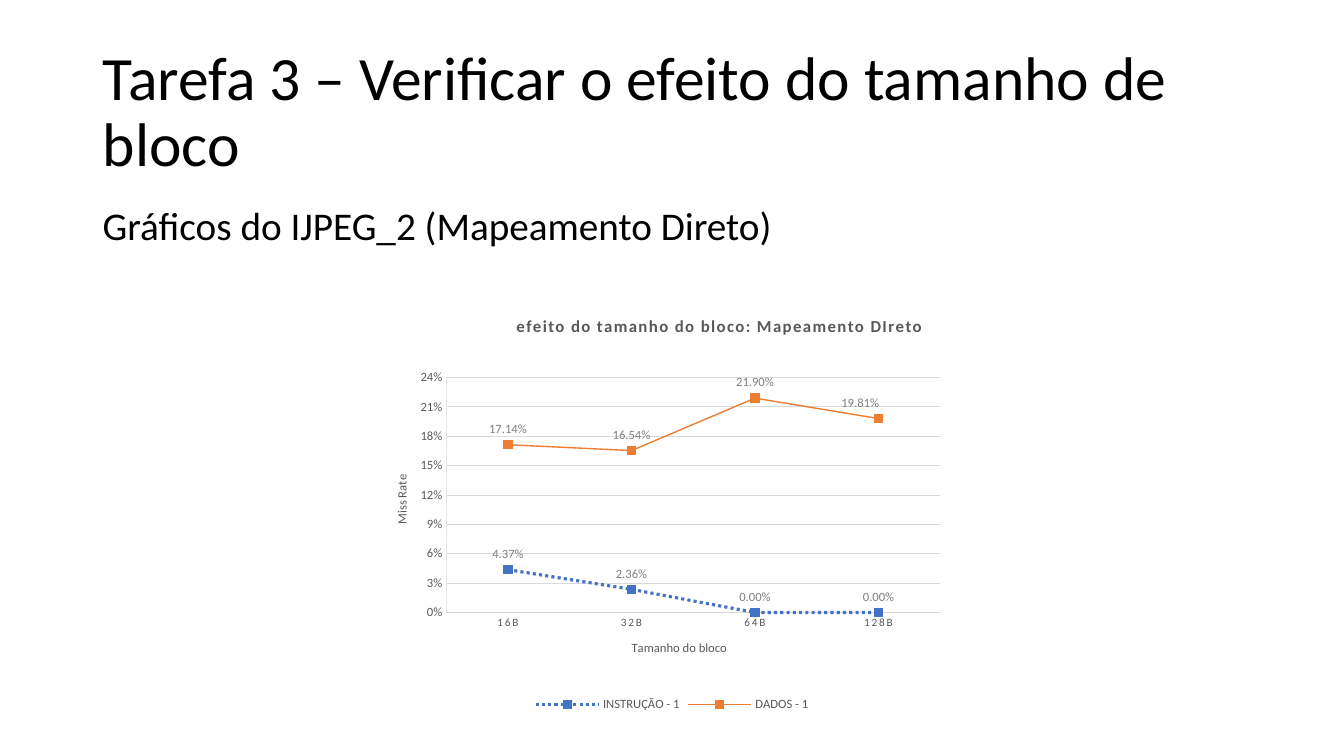
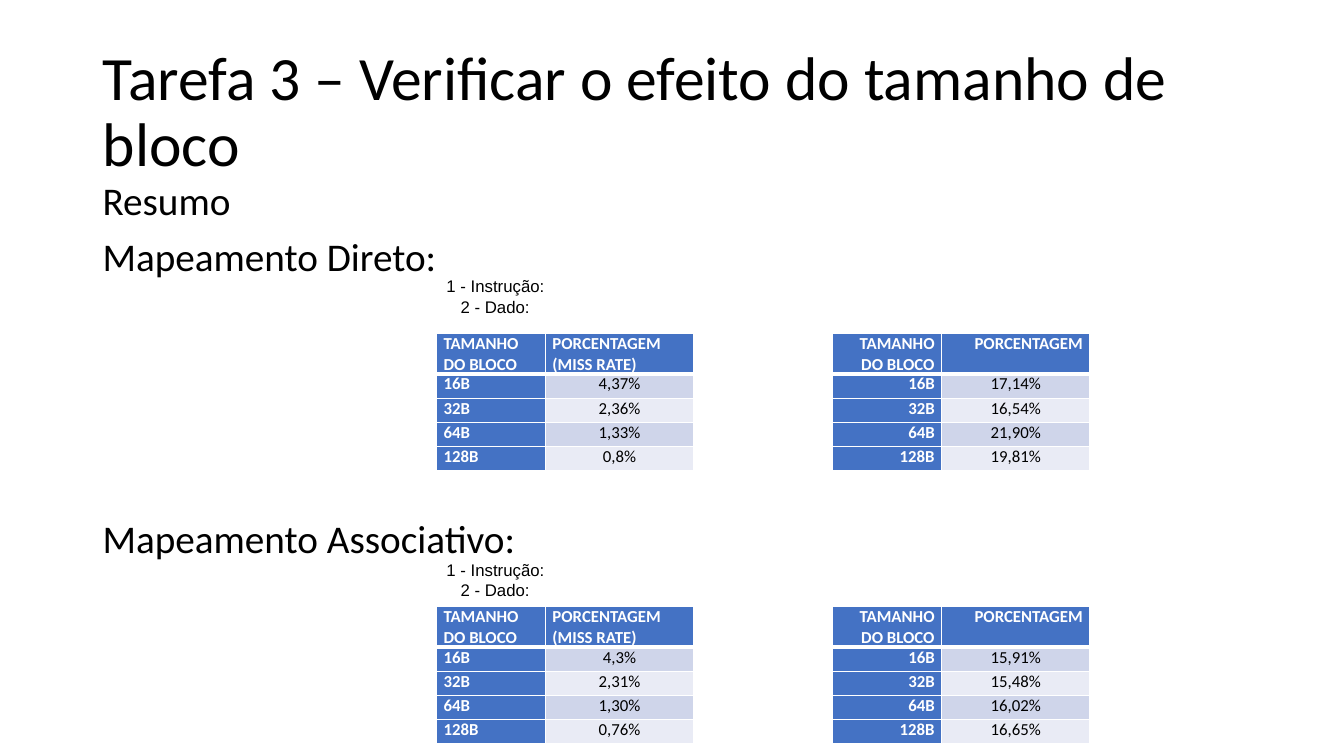
from lxml.etree import SubElement
from pptx import Presentation
from pptx.chart.data import CategoryChartData
from pptx.dml.color import RGBColor
from pptx.enum.chart import (XL_CHART_TYPE, XL_LABEL_POSITION, XL_LEGEND_POSITION,
                             XL_MARKER_STYLE, XL_TICK_MARK)
from pptx.enum.dml import MSO_LINE
from pptx.enum.text import MSO_ANCHOR, MSO_AUTO_SIZE, PP_ALIGN
from pptx.oxml import parse_xml
from pptx.oxml.ns import nsdecls, qn
from pptx.util import Inches, Pt

# Content
TITLE = "Tarefa 3 – Verificar o efeito do tamanho de bloco"
CHART_HEADING = "Gráficos do IJPEG_2 (Mapeamento Direto)"
CHART_TITLE = "efeito do tamanho do bloco: Mapeamento DIreto"
BLOCK_SIZES = ["16B", "32B", "64B", "128B"]
SERIES = [  # name, values, colour, line width, dash
    ("INSTRUÇÃO - 1", (0.0437, 0.0236, 0, 0), "4472C4", 2.25, MSO_LINE.ROUND_DOT),
    ("DADOS - 1", (0.1714, 0.1654, 0.219, 0.1981), "ED7D31", 1, MSO_LINE.SOLID),
]
SUMMARY = "Resumo"
LEGEND_LINES = ["1 - Instrução:", "2 - Dado:"]
SIZE_HEADER = "TAMANHO DO BLOCO"
RATE_HEADERS = ["PORCENTAGEM (MISS RATE)", "PORCENTAGEM"]
SECTIONS = [  # heading, tops of heading, legend and tables, rates of both tables
    ("Mapeamento Direto:", 2.31, 2.69, 3.31,
     [("4,37%", "2,36%", "1,33%", "0,8%"), ("17,14%", "16,54%", "21,90%", "19,81%")]),
    ("Mapeamento Associativo:", 5.11, 5.5, 6.02,
     [("4,3%", "2,31%", "1,30%", "0,76%"), ("15,91%", "15,48%", "16,02%", "16,65%")]),
]

# Shared look
WIDTH, HEIGHT = 13.33, 7.5
MARGIN, CONTENT_WIDTH = 0.92, 11.5
BLACK, WHITE, GREY, LABEL_GREY = "000000", "FFFFFF", "595959", "808080"
GRID_GREY, AXIS_GREY = "D9D9D9", "E7E6E6"
HEADER_BLUE, BANDS = "4472C4", ("CFD5EA", "E9EBF5")
TABLE_LEFTS, COLUMN_WIDTHS, ROW_HEIGHTS = (4.33, 8.26), (1.08, 1.47), (0.4,) + (0.24,) * 4


def rgb(value):
    return RGBColor.from_string(value)


def style(font, size, color=BLACK, name="Calibri", bold=False, spacing=None):
    font.size, font.name, font.bold = Pt(size), name, bold
    font.color.rgb = rgb(color)
    if spacing:
        font._element.set("spc", str(spacing))


def write(frame, text, align=PP_ALIGN.LEFT, line=None, **font):
    """Fill a text frame, one paragraph for each line of the text."""
    for number, words in enumerate(text.split("\n")):
        paragraph = frame.add_paragraph() if number else frame.paragraphs[0]
        paragraph.alignment = align
        if line:
            paragraph.line_spacing = line
        run = paragraph.add_run()
        run.text = words
        style(run.font, **font)


def add_slide(deck):
    slide = deck.slides.add_slide(deck.slide_layouts[5])
    title = slide.shapes.title
    title.left, title.top = Inches(MARGIN), Inches(0.4)
    title.width, title.height = Inches(CONTENT_WIDTH), Inches(1.45)
    frame = title.text_frame
    frame.auto_size, frame.word_wrap = MSO_AUTO_SIZE.NONE, True
    frame.vertical_anchor = MSO_ANCHOR.MIDDLE
    write(frame, TITLE, size=44, line=0.9)
    return slide


def add_text(slide, text, left, top, width, height, **fmt):
    frame = slide.shapes.add_textbox(*map(Inches, (left, top, width, height))).text_frame
    frame.word_wrap = True
    write(frame, text, **fmt)
    return frame


def add_heading(slide, text, top):
    add_text(slide, text, MARGIN, top, CONTENT_WIDTH, 0.53, size=28, line=0.9)


def place(element, index, **shares):
    """Set a manual chart layout, in shares of the chart's size."""
    for old in element.findall(qn("c:layout")):
        element.remove(old)
    layout = parse_xml(f"<c:layout {nsdecls('c')}/>")
    manual = SubElement(layout, qn("c:manualLayout"))
    for key, value in shares.items():
        SubElement(manual, qn(f"c:{key}")).set("val", str(value))
    element.insert(index, layout)


def title_part(part, text, x, y, **font):
    write(part.text_frame, text, align=None, color=GREY, **font)
    place(part._element, 1, xMode="edge", yMode="edge", x=x, y=y)


def style_axis(axis, title, x, y, size, line, spacing=None):
    axis.major_tick_mark = axis.minor_tick_mark = XL_TICK_MARK.NONE
    style(axis.tick_labels.font, size, GREY, spacing=spacing)
    axis.format.line.color.rgb = rgb(line)
    axis.format.line.width = Pt(0.75)
    title_part(axis.axis_title, title, x, y, size=9)


def add_miss_rate_chart(slide):
    data = CategoryChartData(number_format="0.00%")
    data.categories = BLOCK_SIZES
    for name, values, *_ in SERIES:
        data.add_series(name, values)
    chart = slide.shapes.add_chart(XL_CHART_TYPE.LINE_MARKERS,
                                   *map(Inches, (3.64, 3.01, 6.05, 4.09)), data).chart
    style(chart.font, 10)
    chart.has_title = True
    title_part(chart.chart_title, CHART_TITLE, 0.24, 0.02, size=12, bold=True, spacing=100)
    place(chart.plots[0]._element.getparent(), 0, layoutTarget="inner", xMode="edge",
          yMode="edge", x=0.13, y=0.18, w=0.81, h=0.57)

    # Axes and legend
    style_axis(chart.category_axis, "Tamanho do bloco", 0.43, 0.81, 8, GRID_GREY, spacing=120)
    rates = chart.value_axis
    style_axis(rates, "Miss Rate", 0.04, 0.41, 9, AXIS_GREY)
    rates.minimum_scale, rates.maximum_scale, rates.major_unit = 0, 0.24, 0.03
    rates.tick_labels.number_format = "0%"
    rates.tick_labels.number_format_is_linked = False
    rates.has_major_gridlines = True
    rates.major_gridlines.format.line.color.rgb = rgb(GRID_GREY)
    rates.major_gridlines.format.line.width = Pt(0.75)
    chart.has_legend = True
    chart.legend.position = XL_LEGEND_POSITION.BOTTOM
    chart.legend.include_in_layout = False
    style(chart.legend.font, 9, GREY)

    # Series
    chart.plots[0].vary_by_categories = False
    for series, (_, _, color, width, dash) in zip(chart.plots[0].series, SERIES):
        series.smooth = False
        line, marker, labels = series.format.line, series.marker, series.data_labels
        line.color.rgb, line.width, line.dash_style = rgb(color), Pt(width), dash
        marker.style, marker.size = XL_MARKER_STYLE.SQUARE, 6
        marker.format.fill.solid()
        marker.format.fill.fore_color.rgb = rgb(color)
        marker.format.line.color.rgb = rgb(color)
        labels.show_value, labels.position = True, XL_LABEL_POSITION.ABOVE
        labels.number_format, labels.number_format_is_linked = "0.00%", False
        style(labels.font, 9, LABEL_GREY)

    # The last data label sits left of its point
    last = series.points[len(BLOCK_SIZES) - 1].data_label
    style(last.font, 9, LABEL_GREY)
    last.position = XL_LABEL_POSITION.ABOVE
    place(labels._element.find(qn("c:dLbl")), 1, x=-0.03, y=0)


def format_cell(cell, text, row, fill, **fmt):
    cell.margin_left = cell.margin_right = Inches(0.07)
    cell.margin_top = cell.margin_bottom = 0
    properties = cell._tc.get_or_add_tcPr()
    for side in "LRTB":
        thick = (row, side) in ((0, "B"), (1, "T"))
        border = SubElement(properties, qn(f"a:ln{side}"), w=str(Pt(3 if thick else 1)))
        SubElement(SubElement(border, qn("a:solidFill")), qn("a:srgbClr"), val=WHITE)
    cell.fill.solid()
    cell.fill.fore_color.rgb = rgb(fill)
    write(cell.text_frame, text, size=12, **fmt)


def add_rate_table(slide, left, top, rate_header, rates, align):
    rows = [(SIZE_HEADER, rate_header), *zip(BLOCK_SIZES, rates)]
    table = slide.shapes.add_table(len(rows), 2, Inches(left), Inches(top),
                                   Inches(sum(COLUMN_WIDTHS)), Inches(sum(ROW_HEIGHTS))).table
    for column, width in zip(table.columns, COLUMN_WIDTHS):
        column.width = Inches(width)
    for r, texts in enumerate(rows):
        table.rows[r].height = Inches(ROW_HEIGHTS[r])
        for c, text in enumerate(texts):
            if r and c:
                look = dict(fill=BANDS[(r - 1) % 2], align=PP_ALIGN.CENTER)
            else:
                look = dict(fill=HEADER_BLUE, align=align, color=WHITE, bold=True)
            format_cell(table.cell(r, c), text, r, **look)


def main():
    deck = Presentation()
    deck.slide_width, deck.slide_height = Inches(WIDTH), Inches(HEIGHT)

    # Chart slide
    slide = add_slide(deck)
    add_heading(slide, CHART_HEADING, 2)
    add_miss_rate_chart(slide)

    # Summary slide
    slide = add_slide(deck)
    add_heading(slide, SUMMARY, 1.75)
    for heading, heading_top, legend_top, table_top, tables in SECTIONS:
        add_heading(slide, heading, heading_top)
        legend = add_text(slide, "\n".join(LEGEND_LINES), TABLE_LEFTS[0], legend_top,
                          4.29, 0.5, size=12, name="Arial")
        legend.paragraphs[1]._p.get_or_add_pPr().set("marL", str(Inches(0.14)))
        for left, header, rates, align in zip(TABLE_LEFTS, RATE_HEADERS, tables,
                                              (PP_ALIGN.LEFT, PP_ALIGN.RIGHT)):
            add_rate_table(slide, left, table_top, header, rates, align)

    deck.save("out.pptx")


if __name__ == "__main__":
    main()
